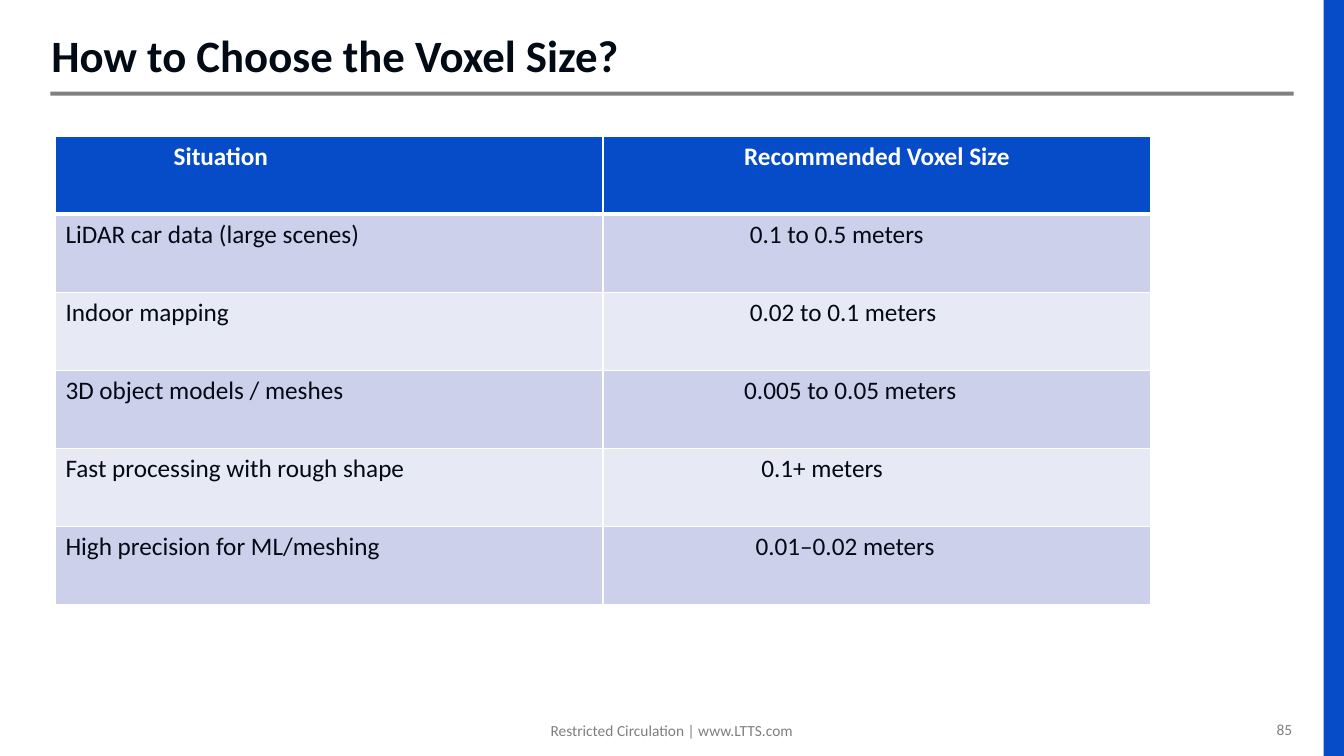
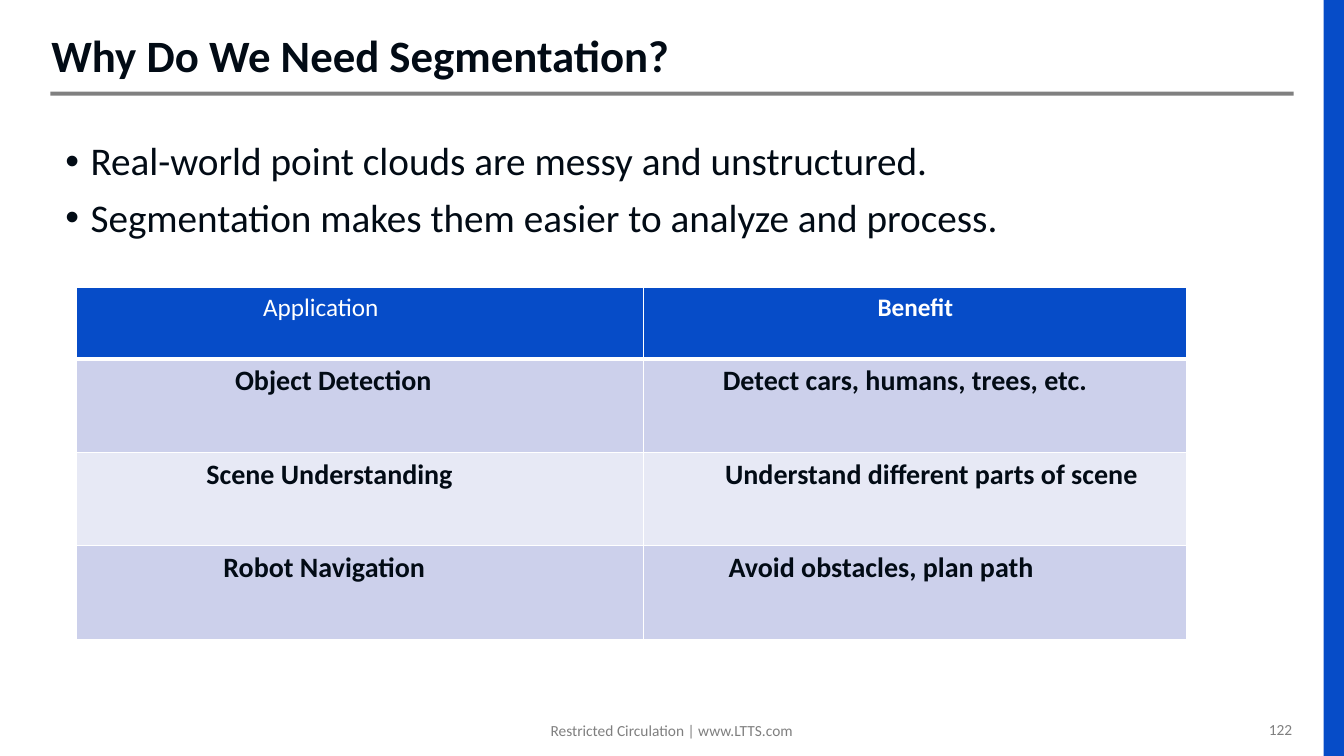
from lxml import etree
from pptx import Presentation
from pptx.dml.color import RGBColor
from pptx.enum.shapes import MSO_SHAPE
from pptx.enum.text import MSO_ANCHOR, PP_ALIGN
from pptx.oxml.ns import qn
from pptx.util import Pt

RECT = MSO_SHAPE.RECTANGLE
LEFT, MID, RIGHT = PP_ALIGN.LEFT, PP_ALIGN.CENTER, PP_ALIGN.RIGHT
TOP, LOW = MSO_ANCHOR.TOP, MSO_ANCHOR.BOTTOM

INK, BLUE, WHITE = "020B15", "064CC8", "FFFFFF"
RULE, GREY = "808080", "7F7F7F"
BANDS = ("CCD0EB", "E7E9F5")
FACE = "Calibri"
PAD = 7.2


def tint(code):
    return RGBColor.from_string(code)


class Deck:
    def __init__(self):
        self.prs = Presentation()
        self.prs.slide_width, self.prs.slide_height = Pt(960), Pt(540)
        self.slide = None

    # Text
    def run(self, para, text, size, color, bold=False):
        run = para.add_run()
        run.text = text
        font = run.font
        font.name, font.size, font.bold = FACE, Pt(size), bold
        font.color.rgb = tint(color)

    def box(self, x, y, w, h, side=PAD, wrap=True, anchor=TOP):
        frame = self.slide.shapes.add_textbox(Pt(x), Pt(y), Pt(w), Pt(h)).text_frame
        frame.word_wrap = wrap
        frame.vertical_anchor = anchor
        frame.margin_left = frame.margin_right = Pt(side)
        return frame

    def note(self, x, y, w, text, align, wrap=True):
        para = self.box(x, y, w, 20.9, wrap=wrap).paragraphs[0]
        para.alignment = align
        self.run(para, text, 11, GREY)

    def list(self, x, y, w, h, items):
        frame = self.box(x, y, w, h)
        for i, text in enumerate(items):
            para = frame.add_paragraph() if i else frame.paragraphs[0]
            props = para._p.get_or_add_pPr()
            props.set("marL", str(Pt(18)))
            props.set("indent", str(Pt(-18)))
            etree.SubElement(props, qn("a:buFont"), typeface="Arial")
            etree.SubElement(props, qn("a:buChar"), char="•")
            para.line_spacing = 0.9
            if i:
                para.space_before = Pt(10)
            self.run(para, text, 28, INK)

    # Shapes
    def bar(self, x, y, w, h, color):
        bar = self.slide.shapes.add_shape(RECT, Pt(x), Pt(y), Pt(w), Pt(h))
        bar.shadow.inherit = False
        bar.fill.solid()
        bar.fill.fore_color.rgb = tint(color)
        bar.line.fill.background()

    # Page with title, rule, side band and footer
    def page(self, title, number):
        self.slide = self.prs.slides.add_slide(self.prs.slide_layouts[6])
        self.note(882, 510.5, 48.2, str(number), RIGHT)
        self.note(384.5, 511.2, 190.8, "Restricted Circulation | www.LTTS.com", MID, False)
        self.bar(36, 65.5, 888, 2.9, RULE)
        self.bar(945.5, 0, 14.5, 540, BLUE)
        para = self.box(36.7, 19.4, 888, 43.2, side=0, anchor=LOW).paragraphs[0]
        para.line_spacing = 0.9
        self.run(para, title, 32, INK, True)

    # Tables
    def edge(self, cell, row):
        props = cell._tc.get_or_add_tcPr()
        for i, side in enumerate(("lnL", "lnR", "lnT", "lnB")):
            thick = (row, side) in ((0, "lnB"), (1, "lnT"))
            line = etree.Element(qn("a:" + side), w=str(Pt(3 if thick else 1)))
            fill = etree.SubElement(line, qn("a:solidFill"))
            etree.SubElement(fill, qn("a:srgbClr"), val=WHITE)
            props.insert(i, line)

    def table(self, x, y, cols, rows, cells, size, bold):
        """Each cell is (text, indent), or (text, MID) when centred.
        A third item overrides the weight."""
        shape = self.slide.shapes.add_table(
            len(rows), len(cols), Pt(x), Pt(y), Pt(sum(cols)), Pt(sum(rows)))
        grid = shape.table
        for col, width in zip(grid.columns, cols):
            col.width = Pt(width)
        for r, (high, line) in enumerate(zip(rows, cells)):
            grid.rows[r].height = Pt(high)
            for c, (text, place, *weight) in enumerate(line):
                cell = grid.cell(r, c)
                cell.fill.solid()
                cell.fill.fore_color.rgb = tint(BANDS[(r - 1) % 2] if r else BLUE)
                self.edge(cell, r)
                para = cell.text_frame.paragraphs[0]
                para.alignment = MID if place is MID else LEFT
                cell.margin_left = Pt(PAD if place is MID else PAD + place)
                heavy = weight[0] if weight else (bold if r else True)
                self.run(para, text, size if r else 18, INK if r else WHITE, heavy)


def main():
    deck = Deck()

    # Voxel size
    deck.page("How to Choose the Voxel Size?", 85)
    deck.table(39.6, 97.2, [391.2] * 2, [55.8] * 6, [
        [("Situation", 77.3), ("Recommended Voxel Size", MID)],
        [("LiDAR car data (large scenes)", 0), ("0.1 to 0.5 meters", 97.6)],
        [("Indoor mapping", 0), ("0.02 to 0.1 meters", 97.6)],
        [("3D object models / meshes", 0), ("0.005 to 0.05 meters", 93.6)],
        [("Fast processing with rough shape", 0), ("0.1+ meters", 105.8)],
        [("High precision for ML/meshing", 0), ("0.01–0.02 meters", 101.7)],
    ], 18, False)

    # Segmentation
    deck.page("Why Do We Need Segmentation?", 122)
    deck.list(39.6, 97.9, 885, 373, [
        "Real-world point clouds are messy and unstructured.",
        "Segmentation makes them easier to analyze and process.",
    ])
    deck.table(54.7, 205.2, [405.1, 388], [51.1] + [66.8] * 3, [
        [("Application", 126, False), ("Benefit", MID)],
        [("Object Detection", 106), ("Detect cars, humans, trees, etc.", 49.3)],
        [("Scene Understanding", 85.5), ("Understand different parts of scene", 51)],
        [("Robot Navigation", 97.7), ("Avoid obstacles, plan path", 53.4)],
    ], 20, True)

    deck.prs.save("out.pptx")


if __name__ == "__main__":
    main()
